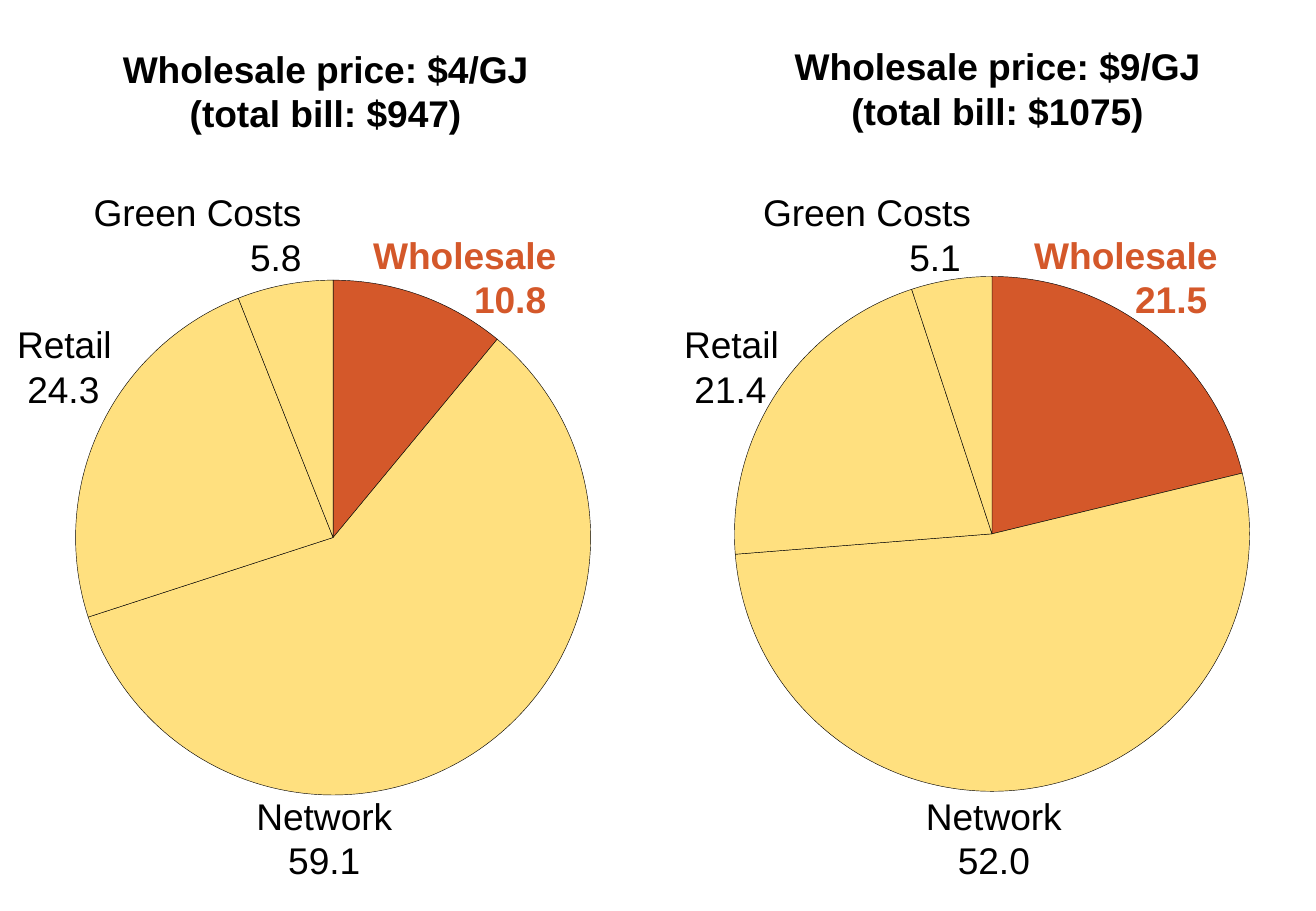
"""Two pies compare gas bills at two wholesale prices."""
from lxml.etree import SubElement
from pptx import Presentation
from pptx.chart.data import CategoryChartData
from pptx.dml.color import RGBColor
from pptx.enum.chart import XL_CHART_TYPE
from pptx.enum.text import MSO_ANCHOR, MSO_AUTO_SIZE, PP_ALIGN
from pptx.oxml.ns import qn
from pptx.util import Inches, Pt

BLACK, RED, GOLD = "000000", "D4582A", "FFE07F"
LEFT, MID, RIGHT = PP_ALIGN.LEFT, PP_ALIGN.CENTER, PP_ALIGN.RIGHT


def color(code):
    return RGBColor.from_string(code)


def write(box, area, text, aligns, tint=BLACK, bold=False):
    box.left, box.top, box.width, box.height = [Inches(n) for n in area]
    frame = box.text_frame
    frame.text = text
    frame.word_wrap = False
    frame.auto_size = MSO_AUTO_SIZE.SHAPE_TO_FIT_TEXT
    frame.vertical_anchor = MSO_ANCHOR.TOP
    frame.margin_left = frame.margin_right = 0
    frame.margin_top = frame.margin_bottom = 0
    for line, align in zip(frame.paragraphs, aligns):
        line.alignment = align
        line.space_before = Pt(0)
        for run in line.runs:
            run.font.name = "Arial"
            run.font.size = Pt(22)
            run.font.bold = bold
            run.font.color.rgb = color(tint)


deck = Presentation()
deck.slide_width, deck.slide_height = Inches(10.83), Inches(7.5)
slide = deck.slides.add_slide(deck.slide_layouts[4])
heads = {1, 3}
for hold in list(slide.placeholders):
    if hold.placeholder_format.idx not in heads:
        hold.element.getparent().remove(hold.element)

names = ["Wholesale", "Network", "Retail", "Green Costs"]
tops = [1.91, 6.53, 2.65, 1.56]
widths = [1.53, 1.13, 0.79, 1.73]
aligns = [(RIGHT, RIGHT), (LEFT, MID), (LEFT, LEFT), (LEFT, RIGHT)]

bills = [
    dict(idx=1, head=(0.88, 0.38), title="Wholesale price: $4/GJ\n(total bill: $947)",
         left=0, plot=(0.11, 0.314), values=[11, 59, 24, 6],
         texts=["10.8 ", "59.1", " 24.3", "5.8"], lefts=[3.05, 2.11, 0.14, 0.77]),
    dict(idx=3, head=(6.41, 0.36), title="Wholesale price: $9/GJ\n(total bill: $1075)",
         left=5.34, plot=(0.125, 0.31), values=[21, 52, 21, 5],
         texts=["21.5 ", "52.0", " 21.4", "5.1 "], lefts=[8.49, 7.62, 5.63, 6.28]),
]

for bill in bills:
    data = CategoryChartData()
    data.categories = names
    data.add_series("Share of bill", bill["values"])
    chart = slide.shapes.add_chart(
        XL_CHART_TYPE.PIE, Inches(bill["left"]), Inches(-0.07),
        Inches(5.5), Inches(7.57), data).chart
    chart.has_title = chart.has_legend = False
    chart.font.name, chart.font.size = "Arial", Pt(18)
    chart.font.color.rgb = color(BLACK)
    pie = chart.plots[0]
    pie.vary_by_categories = True
    for spot in range(len(names)):
        form = pie.series[0].points[spot].format
        form.fill.solid()
        form.fill.fore_color.rgb = color(GOLD if spot else RED)
        form.line.color.rgb = color(BLACK)
        form.line.width = Pt(0.25)

    area = chart.element.find(".//" + qn("c:plotArea"))
    frame = area.find(qn("c:layout"))
    if frame is None:
        frame = SubElement(area, qn("c:layout"))
        area.insert(0, frame)
    manual = SubElement(frame, qn("c:manualLayout"))
    x, y = bill["plot"]
    for tag, val in [("layoutTarget", "inner"), ("xMode", "edge"), ("yMode", "edge"),
                     ("x", x), ("y", y), ("w", 0.777), ("h", 0.56)]:
        SubElement(manual, qn("c:" + tag)).set("val", str(val))

    for spot, name in enumerate(names):
        box = slide.shapes.add_textbox(0, 0, 0, 0)
        write(box, (bill["lefts"][spot], tops[spot], widths[spot], 0.74),
              name + "\n" + bill["texts"][spot], aligns[spot],
              BLACK if spot else RED, spot == 0)

    write(slide.placeholders[bill["idx"]], (*bill["head"], 3.6, 0.74),
          bill["title"], (MID, MID), bold=True)

deck.save("out.pptx")
